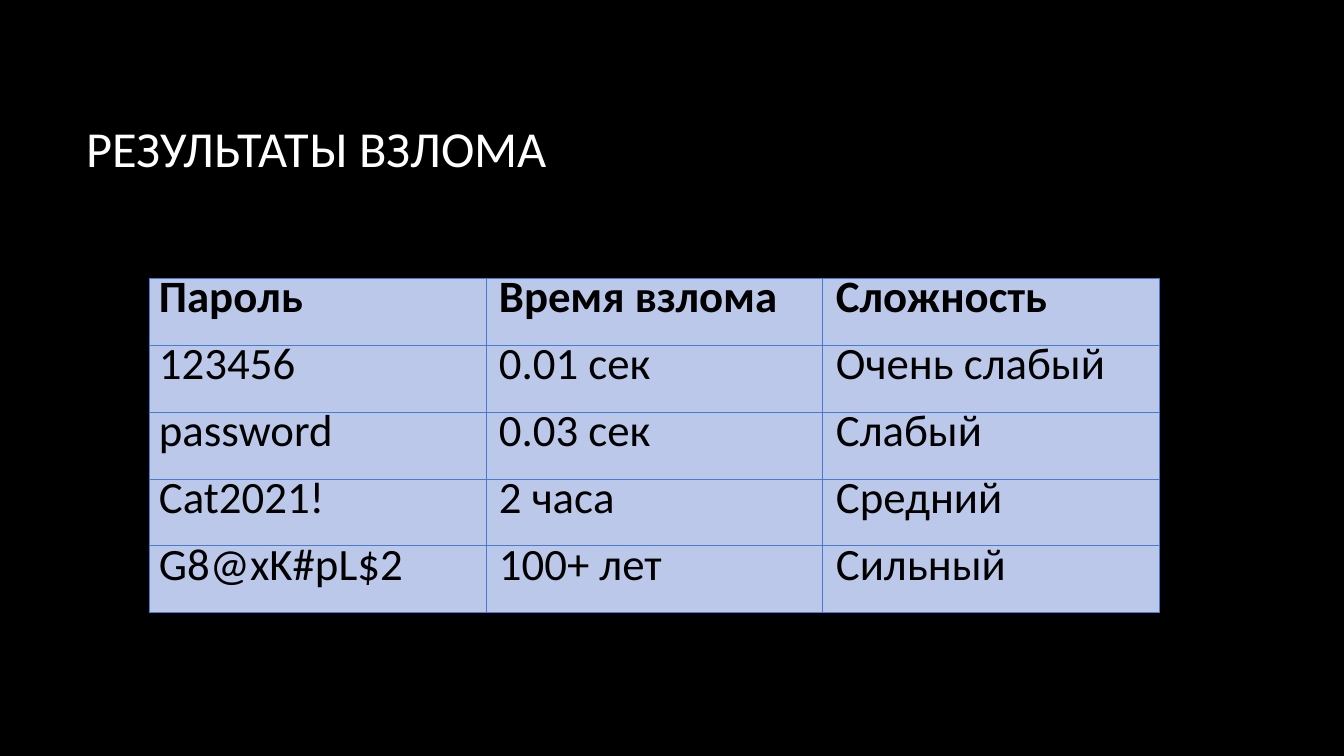
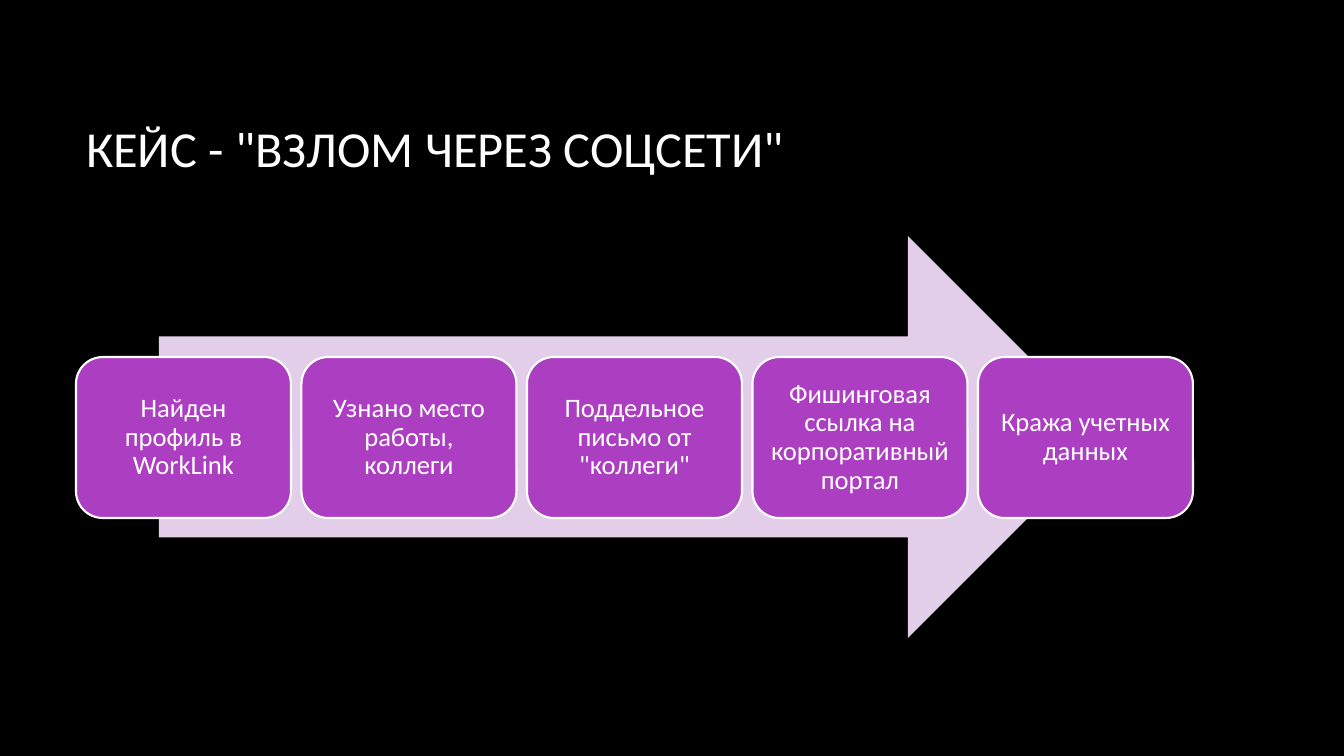
from lxml import etree
from pptx import Presentation
from pptx.dml.color import RGBColor
from pptx.enum.shapes import MSO_SHAPE
from pptx.enum.text import MSO_ANCHOR, MSO_AUTO_SIZE, PP_ALIGN
from pptx.oxml.ns import qn
from pptx.util import Emu, Pt

ARROW, ROUNDED = MSO_SHAPE.RIGHT_ARROW, MSO_SHAPE.ROUNDED_RECTANGLE
MIDDLE, LEFT, CENTER = MSO_ANCHOR.MIDDLE, PP_ALIGN.LEFT, PP_ALIGN.CENTER
NO_AUTOFIT = MSO_AUTO_SIZE.NONE

BLACK = RGBColor(0x00, 0x00, 0x00)
WHITE = RGBColor(0xFF, 0xFF, 0xFF)
CELL_BLUE = RGBColor(0xBC, 0xC8, 0xEA)
BORDER_BLUE = RGBColor(0x47, 0x7B, 0xD1)
LILAC = RGBColor(0xE3, 0xCE, 0xE9)
PURPLE = RGBColor(0xAC, 0x3E, 0xC1)

FONT = "Calibri"
SLIDE_W, SLIDE_H = 1344, 756
EMU_PER_PX = 12192000 / SLIDE_W


def px(*lengths):
    return [Emu(round(length * EMU_PER_PX)) for length in lengths]


def style_text(paragraph, size, color, align, bold=False):
    paragraph.alignment = align
    for run in paragraph.runs:
        run.font.name = FONT
        run.font.size = Pt(size)
        run.font.bold = bold
        run.font.color.rgb = color


prs = Presentation()
prs.slide_width, prs.slide_height = px(SLIDE_W, SLIDE_H)

# Shared background
background = prs.slide_master.background.fill
background.solid()
background.fore_color.rgb = BLACK

# Slides with their titles
TITLES = ["РЕЗУЛЬТАТЫ ВЗЛОМА", 'КЕЙС - "ВЗЛОМ ЧЕРЕЗ СОЦСЕТИ"']
slides = []
for heading in TITLES:
    slide = prs.slides.add_slide(prs.slide_layouts[5])
    title = slide.shapes.title
    title.left, title.top, title.width, title.height = px(76, 67, 1117, 161)
    title.text_frame.text = heading
    title.text_frame.vertical_anchor = MIDDLE
    title.text_frame.auto_size = NO_AUTOFIT
    style_text(title.text_frame.paragraphs[0], 36, WHITE, LEFT)
    slides.append(slide)
results_slide, case_slide = slides

# Slide 1: table of cracking times
RESULTS = [
    ("Пароль", "Время взлома", "Сложность"),
    ("123456", "0.01 сек", "Очень слабый"),
    ("password", "0.03 сек", "Слабый"),
    ("Cat2021!", "2 часа", "Средний"),
    ("G8@xK#pL$2", "100+ лет", "Сильный"),
]
COL_W, ROW_H = 337, 67
n_rows, n_cols = len(RESULTS), len(RESULTS[0])
results = results_slide.shapes.add_table(
    n_rows, n_cols, *px(149, 278, n_cols * COL_W, n_rows * ROW_H)).table
for column in results.columns:
    column.width = px(COL_W)[0]

for r, row in enumerate(RESULTS):
    results.rows[r].height = px(ROW_H)[0]
    for c, value in enumerate(row):
        cell = results.cell(r, c)
        (cell.margin_left, cell.margin_right, cell.margin_top,
         cell.margin_bottom) = px(13 if c else 10, 10, 8, 8)
        cell.vertical_anchor = MIDDLE
        cell.text_frame.text = value
        paragraph = cell.text_frame.paragraphs[0]
        paragraph.line_spacing = Pt(18.8)
        style_text(paragraph, 32, BLACK, LEFT, bold=r == 0)
        # Borders come before the fill in the cell properties
        for side in ("a:lnL", "a:lnR", "a:lnT", "a:lnB"):
            border = etree.SubElement(cell._tc.get_or_add_tcPr(), qn(side), w=str(Pt(0.75)))
            border_fill = etree.SubElement(border, qn("a:solidFill"))
            etree.SubElement(border_fill, qn("a:srgbClr"), val=str(BORDER_BLUE))
        cell.fill.solid()
        cell.fill.fore_color.rgb = CELL_BLUE

# Slide 2: arrow behind the steps
arrow = case_slide.shapes.add_shape(ARROW, *px(159, 236, 950, 402))
arrow.shadow.inherit = False
arrow.fill.solid()
arrow.fill.fore_color.rgb = LILAC
arrow.line.fill.background()

# Steps of the attack, spread evenly under the title
STEPS = [
    "Найден профиль в WorkLink",
    "Узнано место работы, коллеги",
    'Поддельное письмо от "коллеги"',
    "Фишинговая ссылка на корпоративный портал",
    "Кража учетных данных",
]
STEPS_LEFT, STEPS_W, STEP_W = 76, 1117, 215
step_pitch = (STEPS_W - STEP_W) / (len(STEPS) - 1)
for i, wording in enumerate(STEPS):
    step = case_slide.shapes.add_shape(
        ROUNDED, *px(STEPS_LEFT + i * step_pitch, 357, STEP_W, 161))
    step.shadow.inherit = False
    step.fill.solid()
    step.fill.fore_color.rgb = PURPLE
    step.line.color.rgb = WHITE
    step.line.width = Pt(1.5)
    frame = step.text_frame
    frame.word_wrap = True
    frame.vertical_anchor = MIDDLE
    (frame.margin_left, frame.margin_right, frame.margin_top,
     frame.margin_bottom) = px(8, 8, 8, 8)
    frame.text = wording
    frame.paragraphs[0].line_spacing = 0.9
    style_text(frame.paragraphs[0], 19, WHITE, CENTER)

prs.save("out.pptx")
